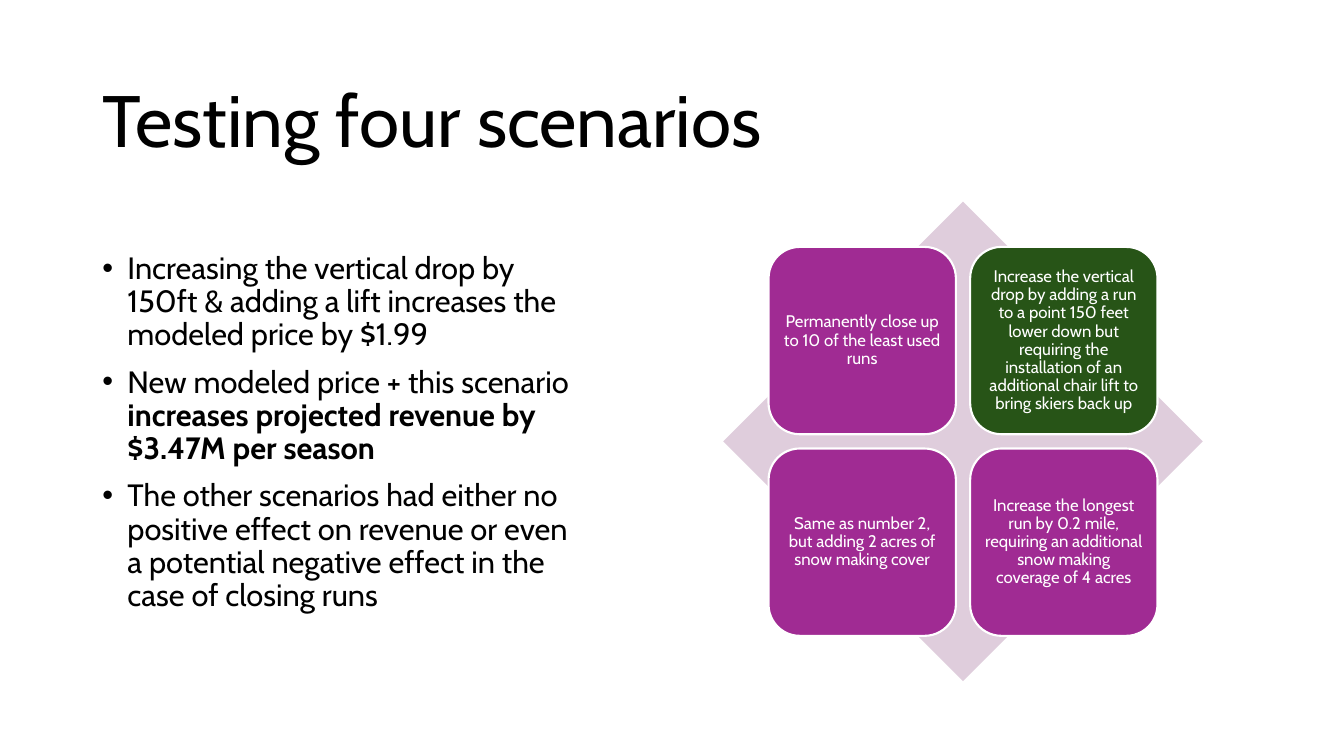
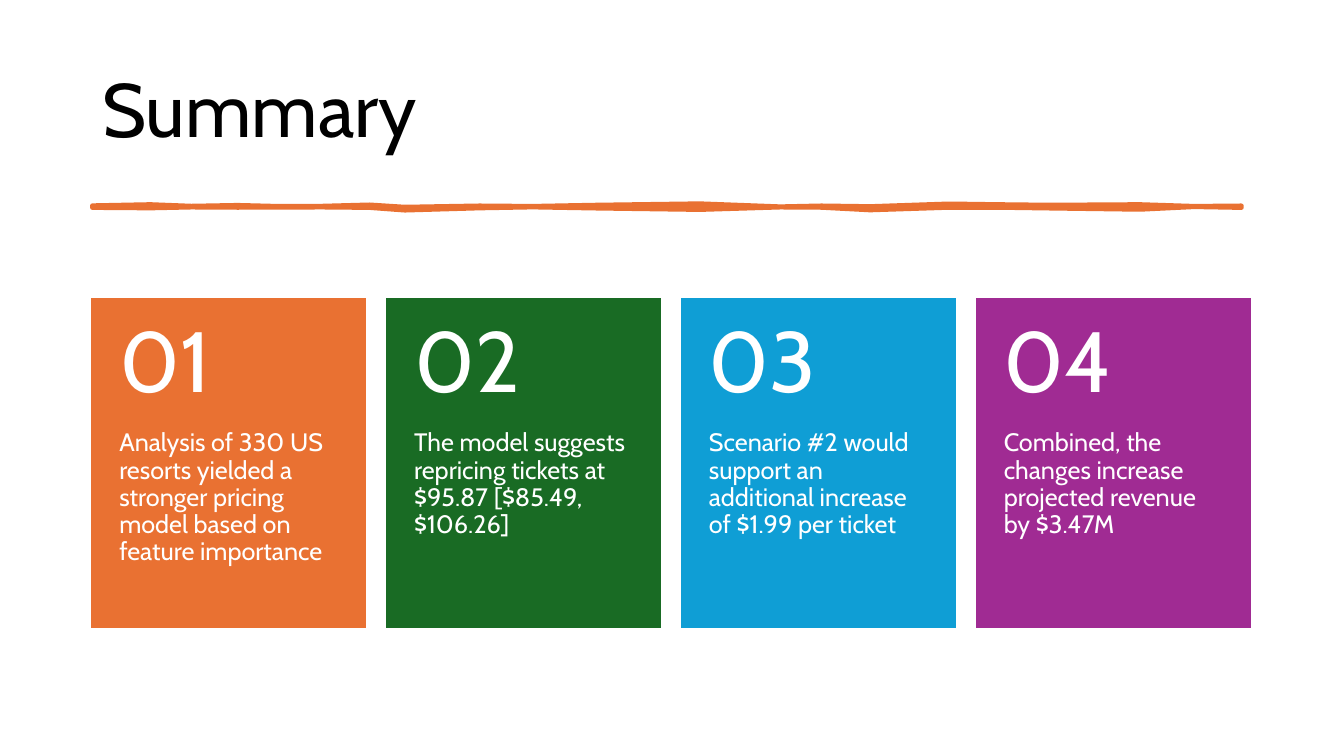
from lxml.etree import SubElement
from pptx import Presentation
from pptx.dml.color import RGBColor
from pptx.enum.shapes import MSO_SHAPE as Shape
from pptx.enum.text import MSO_ANCHOR as Anchor, PP_ALIGN as Align
from pptx.oxml.ns import qn
from pptx.util import Pt

PX = 7620  # 120 px to the inch, a slide of 1600 by 900
FONT = "Cabin"
MARGIN = 110
BLACK, WHITE = "000000", "FFFFFF"
ORANGE, GREEN, BLUE, PURPLE = "E97132", "196B24", "0F9ED5", "A02B93"
DARK_GREEN, PALE_MAUVE = "275417", "DFCDDC"

FINDINGS = [
    ["Increasing the vertical drop by 150ft & adding a lift increases the "
     "modeled price by $1.99"],
    ["New modeled price + this scenario ",
     ("increases projected revenue by $3.47M per season", True)],
    ["The other scenarios had either no positive effect on revenue or even a "
     "potential negative effect in the case of closing runs"],
]
SCENARIOS = [
    ("Permanently close up to 10 of the least used runs", PURPLE),
    ("Increase the vertical drop by adding a run to a point 150 feet lower "
     "down but requiring the installation of an additional chair lift to "
     "bring skiers back up", DARK_GREEN),
    ("Same as number 2, but adding 2 acres of snow making cover", PURPLE),
    ("Increase the longest run by 0.2 mile, requiring an additional snow "
     "making coverage of 4 acres", PURPLE),
]
CONCLUSIONS = [
    ("Analysis of 330 US resorts yielded a stronger pricing model based on "
     "feature importance", ORANGE),
    ("The model suggests repricing tickets at $95.87 [$85.49, $106.26]", GREEN),
    ("Scenario #2 would support an additional increase of $1.99 per ticket", BLUE),
    ("Combined, the changes increase projected revenue by $3.47M", PURPLE),
]

# Brush stroke: x in px, then upper and lower edge in tenths of a px
# from the centre line
STROKE_Y = 246
STROKE = [
    (110, -12, 12), (179, -26, 17), (228, -7, 7), (283, -17, 10), (334, -4, 8),
    (384, -7, 7), (440, -22, 12), (482, 5, 43), (571, -10, 17), (634, -5, 6),
    (710, -19, 19), (833, -36, 36), (929, 0, 7), (978, -10, 10), (1036, -2, 41),
    (1130, -34, 10), (1188, -26, 10), (1250, -19, 19), (1357, -26, 34),
    (1422, -5, 2), (1478, -10, 12),
]


def color(code):
    return RGBColor.from_string(code)


def box(px):
    return [length * PX for length in px]


def paint(shape, fill, line=None, weight=1.5, join="miter"):
    shape.shadow.inherit = False
    shape.fill.solid()
    shape.fill.fore_color.rgb = color(fill)
    if line:
        shape.line.color.rgb = color(line)
        shape.line.width = Pt(weight)
        SubElement(shape.line._get_or_add_ln(), qn(f"a:{join}"))
    else:
        shape.line.fill.background()


def add_bullet(paragraph):
    props = paragraph._p.get_or_add_pPr()
    props.set("marL", str(30 * PX))
    props.set("indent", str(-30 * PX))
    SubElement(props, qn("a:buFont"), typeface="Arial")
    SubElement(props, qn("a:buChar"), char="•")


def add_text(slide, place, paragraphs, size, ink=WHITE, align=Align.LEFT,
             anchor=Anchor.TOP, insets=(12, 6, 12, 6), before=0, bullets=False):
    """Add a box of paragraphs, each a list of texts or (text, bold)."""
    frame = slide.shapes.add_textbox(*box(place)).text_frame
    frame.word_wrap = True
    frame.vertical_anchor = anchor
    (frame.margin_left, frame.margin_top,
     frame.margin_right, frame.margin_bottom) = box(insets)
    for i, pieces in enumerate(paragraphs):
        paragraph = frame.paragraphs[0] if i == 0 else frame.add_paragraph()
        paragraph.alignment = align
        paragraph.line_spacing = 0.9
        paragraph.space_before = Pt(before)
        if bullets:
            add_bullet(paragraph)
        for piece in pieces:
            text, bold = (piece, False) if isinstance(piece, str) else piece
            run = paragraph.add_run()
            run.text = text
            run.font.name = FONT
            run.font.size = Pt(size)
            run.font.bold = bold
            run.font.color.rgb = color(ink)


def add_panel(slide, kind, place, fill, line=None):
    paint(slide.shapes.add_shape(kind, *box(place)), fill, line)


def add_titled_slide(prs, title, top, height, size):
    slide = prs.slides.add_slide(prs.slide_layouts[6])
    add_text(slide, (MARGIN, top, 1380, height), [[title]], size,
             ink=BLACK, anchor=Anchor.MIDDLE)
    return slide


def add_brush_stroke(slide):
    upper = [(10 * x, 10 * STROKE_Y + rise) for x, rise, _ in STROKE]
    lower = [(10 * x, 10 * STROKE_Y + drop) for x, _, drop in STROKE]
    start, *rest = upper + lower[::-1]
    builder = slide.shapes.build_freeform(*start, scale=PX / 10)
    builder.add_line_segments(rest, close=True)
    paint(builder.convert_to_shape(), ORANGE, ORANGE, 3.25, join="round")


def build_scenarios(prs):
    slide = add_titled_slide(prs, "Testing four scenarios", 73, 149, 52)

    # Two by two matrix on a diamond
    add_panel(slide, Shape.DIAMOND, (861, 240, 571, 571), PALE_MAUVE)
    side, pitch, inset = 223, 240, 11
    for i, (scenario, fill) in enumerate(SCENARIOS):
        row, column = divmod(i, 2)
        left, top = 915 + column * pitch, 294 + row * pitch
        add_panel(slide, Shape.ROUNDED_RECTANGLE, (left, top, side, side),
                  fill, WHITE)
        label = side - 2 * inset
        add_text(slide, (left + inset, top + inset, label, label), [[scenario]],
                 12, align=Align.CENTER, anchor=Anchor.MIDDLE, insets=(6, 6, 6, 6))

    # Findings
    add_text(slide, (MARGIN, 295, 590, 436), FINDINGS, 22, ink=BLACK,
             before=10, bullets=True)


def build_summary(prs):
    slide = add_titled_slide(prs, "Summary", 48, 174, 54)
    add_brush_stroke(slide)

    # Row of numbered cards
    top, width, height, gap, number_height = 356, 325, 390, 26, 156
    for i, (conclusion, fill) in enumerate(CONCLUSIONS):
        left = MARGIN + i * (width + gap)
        add_panel(slide, Shape.RECTANGLE, (left, top, width, height), fill, fill)
        add_text(slide, (left, top + number_height, width, height - number_height),
                 [[conclusion]], 18, insets=(32, 0, 32, 43))
        add_text(slide, (left, top, width, number_height), [[f"{i + 1:02}"]], 61,
                 anchor=Anchor.MIDDLE, insets=(32, 22, 32, 22))


def main():
    prs = Presentation()
    prs.slide_width, prs.slide_height = box((1600, 900))
    build_scenarios(prs)
    build_summary(prs)
    prs.save("out.pptx")


if __name__ == "__main__":
    main()
